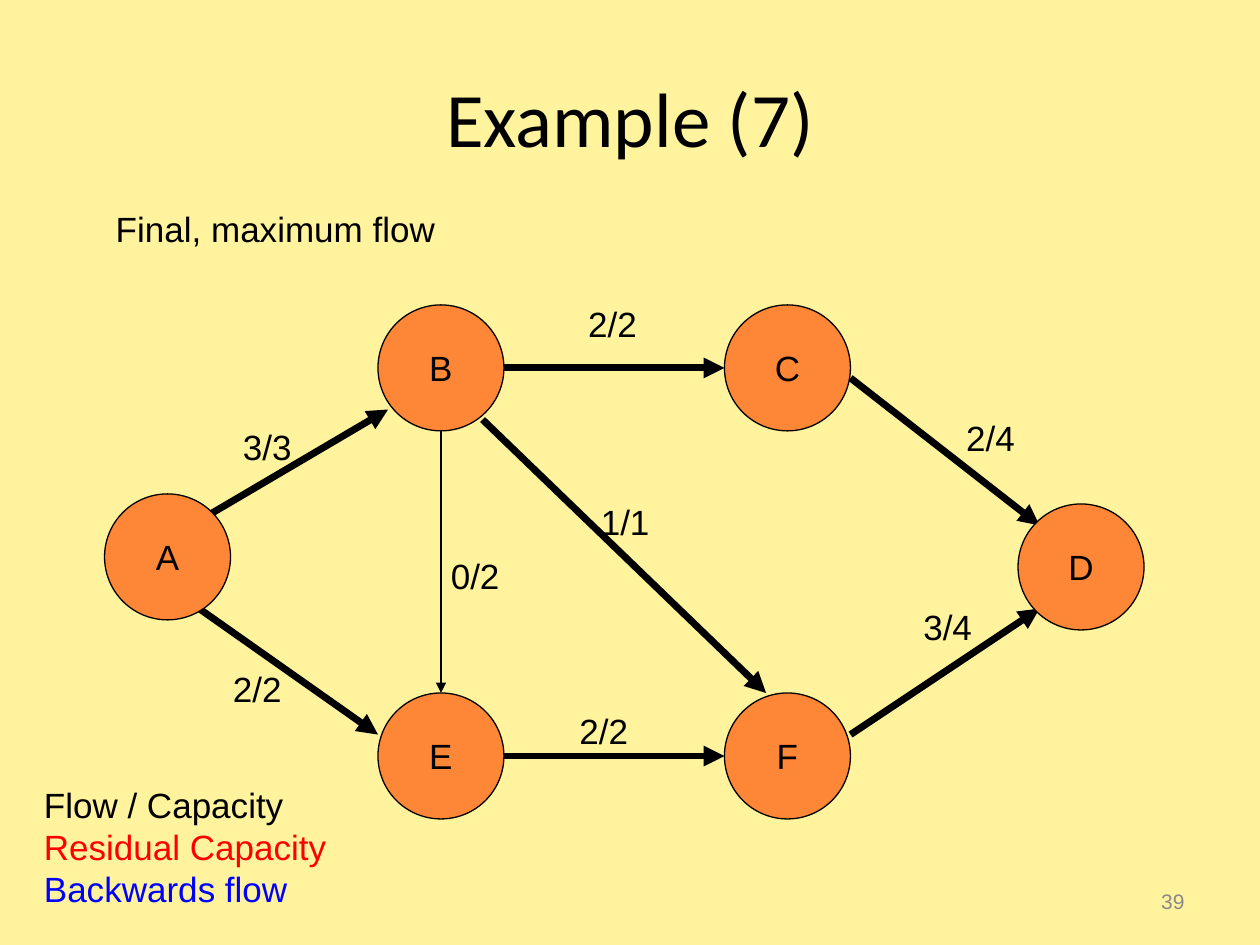
from dataclasses import dataclass

from lxml.etree import SubElement
from pptx import Presentation
from pptx.dml.color import RGBColor
from pptx.enum.shapes import MSO_CONNECTOR as Connector, MSO_SHAPE as Shape
from pptx.enum.text import MSO_ANCHOR as Anchor, MSO_AUTO_SIZE as AutoSize, PP_ALIGN as Align
from pptx.oxml.ns import qn
from pptx.slide import Slide
from pptx.text.text import TextFrame
from pptx.util import Inches, Pt

CREAM = RGBColor(0xFF, 0xF3, 0x9D)
ORANGE = RGBColor(0xFE, 0x86, 0x37)
BLACK = RGBColor(0, 0, 0)
RED = RGBColor(0xFF, 0, 0)
BLUE = RGBColor(0, 0, 0xFF)
GRAY = RGBColor(0x89, 0x89, 0x89)
NODE_SIZE = 1
LABEL_HEIGHT = 0.44
LABEL_WIDTH = 0.6
THICK, THIN = 4, 0.75


@dataclass(frozen=True)
class Node:
    name: str
    left: float
    top: float


@dataclass(frozen=True)
class Edge:
    start: tuple[float, float]
    end: tuple[float, float]
    flow: str
    label: tuple[float, float]
    weight: float = THICK


@dataclass(frozen=True)
class Line:
    text: str
    color: RGBColor = BLACK


NODES = [
    Node("A", 0.83, 3.92),
    Node("B", 3, 2.42),
    Node("C", 5.75, 2.42),
    Node("D", 8.08, 4),
    Node("F", 5.75, 5.5),
    Node("E", 3, 5.5),
]
EDGES = [
    Edge((1.67, 4.08), (3.08, 3.25), "3/3", (1.83, 3.33)),
    Edge((4, 2.92), (5.75, 2.92), "2/2", (4.57, 2.35)),
    Edge((6.75, 3), (8.25, 4.17), "2/4", (7.57, 3.26)),
    Edge((1.58, 4.83), (3, 5.83), "2/2", (1.75, 5.25)),
    Edge((4, 6), (5.75, 6), "2/2", (4.5, 5.58)),
    Edge((6.75, 5.83), (8.25, 4.83), "3/4", (7.23, 4.76)),
    Edge((3.83, 3.33), (6.08, 5.5), "1/1", (4.67, 3.92)),
    Edge((3.5, 3.42), (3.5, 5.5), "0/2", (3.48, 4.35), THIN),
]
LEGEND = [Line("Flow / Capacity"), Line("Residual Capacity", RED), Line("Backwards flow", BLUE)]


def write(frame: TextFrame, lines: list[Line], size: float = 20,
          font: str = "Arial", align: Align = Align.LEFT) -> None:
    for index, line in enumerate(lines):
        para = frame.add_paragraph() if index else frame.paragraphs[0]
        para.alignment = align
        span = para.add_run()
        span.text = line.text
        span.font.name = font
        span.font.size = Pt(size)
        span.font.color.rgb = line.color


def add_label(page: Slide, left: float, top: float, width: float,
              lines: list[Line], height: float = LABEL_HEIGHT) -> None:
    box = page.shapes.add_textbox(Inches(left), Inches(top), Inches(width), Inches(height))
    box.text_frame.word_wrap = False
    box.text_frame.auto_size = AutoSize.SHAPE_TO_FIT_TEXT
    write(box.text_frame, lines)


def add_block(page: Slide, left: float, top: float, width: float, height: float,
              line: Line, size: float, font: str, align: Align) -> None:
    box = page.shapes.add_textbox(Inches(left), Inches(top), Inches(width), Inches(height))
    box.text_frame.word_wrap = True
    box.text_frame.vertical_anchor = Anchor.MIDDLE
    write(box.text_frame, [line], size, font, align)


def add_arrow(page: Slide, edge: Edge) -> None:
    points = [Inches(value) for value in (*edge.start, *edge.end)]
    arrow = page.shapes.add_connector(Connector.STRAIGHT, *points)
    arrow.line.color.rgb = BLACK
    arrow.line.width = Pt(edge.weight)
    SubElement(arrow.line._get_or_add_ln(), qn("a:tailEnd"), type="triangle")
    SubElement(arrow._element.spPr, qn("a:effectLst"))


def add_node(page: Slide, node: Node) -> None:
    circle = page.shapes.add_shape(Shape.OVAL, Inches(node.left), Inches(node.top),
                                   Inches(NODE_SIZE), Inches(NODE_SIZE))
    circle.shadow.inherit = False
    circle.fill.solid()
    circle.fill.fore_color.rgb = ORANGE
    circle.line.color.rgb = BLACK
    circle.line.width = Pt(THIN)
    circle.text_frame.word_wrap = False
    circle.text_frame.vertical_anchor = Anchor.MIDDLE
    write(circle.text_frame, [Line(node.name)], align=Align.CENTER)


def main() -> None:
    deck = Presentation()
    deck.slide_width, deck.slide_height = Inches(10), Inches(7.5)
    page = deck.slides.add_slide(deck.slide_layouts[6])
    page.background.fill.solid()
    page.background.fill.fore_color.rgb = CREAM

    add_block(page, 0.5, 0.3, 9, 1.25, Line("Example (7)"), 44, "Calibri", Align.CENTER)
    add_block(page, 7.17, 6.95, 2.33, 0.4, Line("39", GRAY), 12, "Arial", Align.RIGHT)
    for edge in EDGES:
        add_arrow(page, edge)
    for edge in EDGES:
        add_label(page, *edge.label, LABEL_WIDTH, [Line(edge.flow)])
    add_label(page, 0.25, 6.17, 2.45, LEGEND, height=1.1)
    for node in NODES:
        add_node(page, node)
    add_label(page, 0.82, 1.6, 2.75, [Line("Final, maximum flow")])
    deck.save("out.pptx")


if __name__ == "__main__":
    main()
